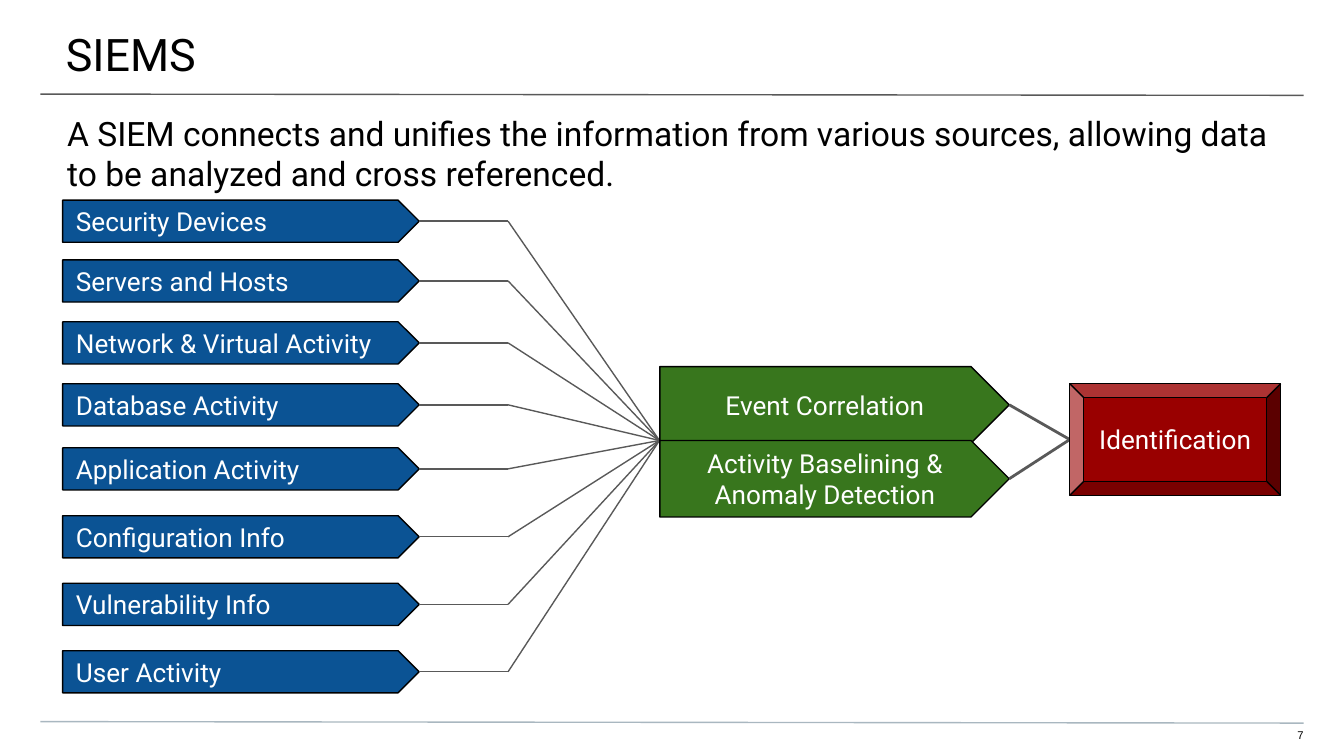
from lxml.etree import SubElement
from pptx import Presentation
from pptx.dml.color import RGBColor
from pptx.enum.shapes import MSO_CONNECTOR as CONNECTOR, MSO_SHAPE as SHAPE
from pptx.enum.text import MSO_ANCHOR as ANCHOR, PP_ALIGN as ALIGN
from pptx.oxml.ns import qn
from pptx.util import Pt

prs = Presentation()
prs.slide_width, prs.slide_height = Pt(720), Pt(405)
slide = prs.slides.add_slide(prs.slide_layouts[5])
shapes = slide.shapes


def write(part, text, size, color, insets, anchor=ANCHOR.TOP, align=ALIGN.LEFT, font="Roboto"):
    frame = part.text_frame
    frame.word_wrap = True
    frame.vertical_anchor = anchor
    frame.margin_left, frame.margin_top, frame.margin_right, frame.margin_bottom = map(Pt, insets)
    frame.text = text
    for paragraph in frame.paragraphs:
        paragraph.alignment = align
        paragraph.font.name = font
        paragraph.font.size = Pt(size)
        paragraph.font.color.rgb = RGBColor.from_string(color)


def connect(x1, y1, x2, y2, color="595959", width=0.75):
    line = shapes.add_connector(CONNECTOR.STRAIGHT, Pt(x1), Pt(y1), Pt(x2), Pt(y2))
    line.line.color.rgb = RGBColor.from_string(color)
    line.line.width = Pt(width)
    SubElement(line._element.spPr, qn("a:effectLst"))
    return line


connect(21.6, 50.4, 698.4, 51.1)
connect(21.6, 386.6, 698.4, 387.4, "A9B7C0")

title = shapes.title
title.left, title.top, title.width, title.height = Pt(-0.7), Pt(0), Pt(722), Pt(41.8)
write(title, "SIEMS", 24, "000000", (36, 14.4, 21.6, 7.2))

summary = shapes.add_textbox(Pt(0), Pt(53.3), Pt(720), Pt(51.8))
write(summary, "A SIEM connects and unifies the information from various sources, "
      "allowing data to be analyzed and cross referenced.", 18, "000000", (36, 7.2, 36, 0))

page_number = shapes.add_textbox(Pt(677.5), Pt(390.2), Pt(20.9), Pt(8.6))
write(page_number, "7", 6, "000000", (0, 0, 0, 7.2), align=ALIGN.RIGHT, font="Arial")

sources = [
    ("Security Devices", 107.2), ("Servers and Hosts", 139.2),
    ("Network & Virtual Activity", 172.4), ("Database Activity", 205.6),
    ("Application Activity", 239.9), ("Configuration Info", 276.3),
    ("Vulnerability Info", 312.5), ("User Activity", 348.6),
]
blue, green, red = "0B5394", "38761D", "990000"
steps = [(SHAPE.PENTAGON, name, 33.6, top, 191, 22.6, blue, ALIGN.LEFT) for name, top in sources]
steps += [
    (SHAPE.PENTAGON, "Event Correlation", 353.5, 196.4, 187.2, 41, green, ALIGN.CENTER),
    (SHAPE.PENTAGON, "Activity Baselining &\nAnomaly Detection", 353.5, 236, 187.2, 41, green, ALIGN.CENTER),
    (SHAPE.BEVEL, "Identification", 573.1, 205.6, 113, 59.8, red, ALIGN.CENTER),
]
bend_x, merge_x, merge_y = 272.2, 353.3, 236
result_x, result_y = 573.1, 235.5

for preset, label, left, top, width, height, color, align in steps:
    step = shapes.add_shape(preset, Pt(left), Pt(top), Pt(width), Pt(height))
    step.shadow.inherit = False
    step.fill.solid()
    step.fill.fore_color.rgb = RGBColor.from_string(color)
    step.line.color.rgb = RGBColor.from_string("000000")
    step.line.width = Pt(0.75)
    write(step, label, 14, "FFFFFF", (7.2,) * 4, ANCHOR.MIDDLE, align)
    tip_x, middle_y = left + width, top + height / 2
    if color == blue:
        connect(tip_x, middle_y, bend_x, middle_y).begin_connect(step, 3)
        connect(bend_x, middle_y, merge_x, merge_y)
    elif color == green:
        connect(tip_x, middle_y, result_x, result_y, width=1.5).begin_connect(step, 3)

prs.save("out.pptx")
